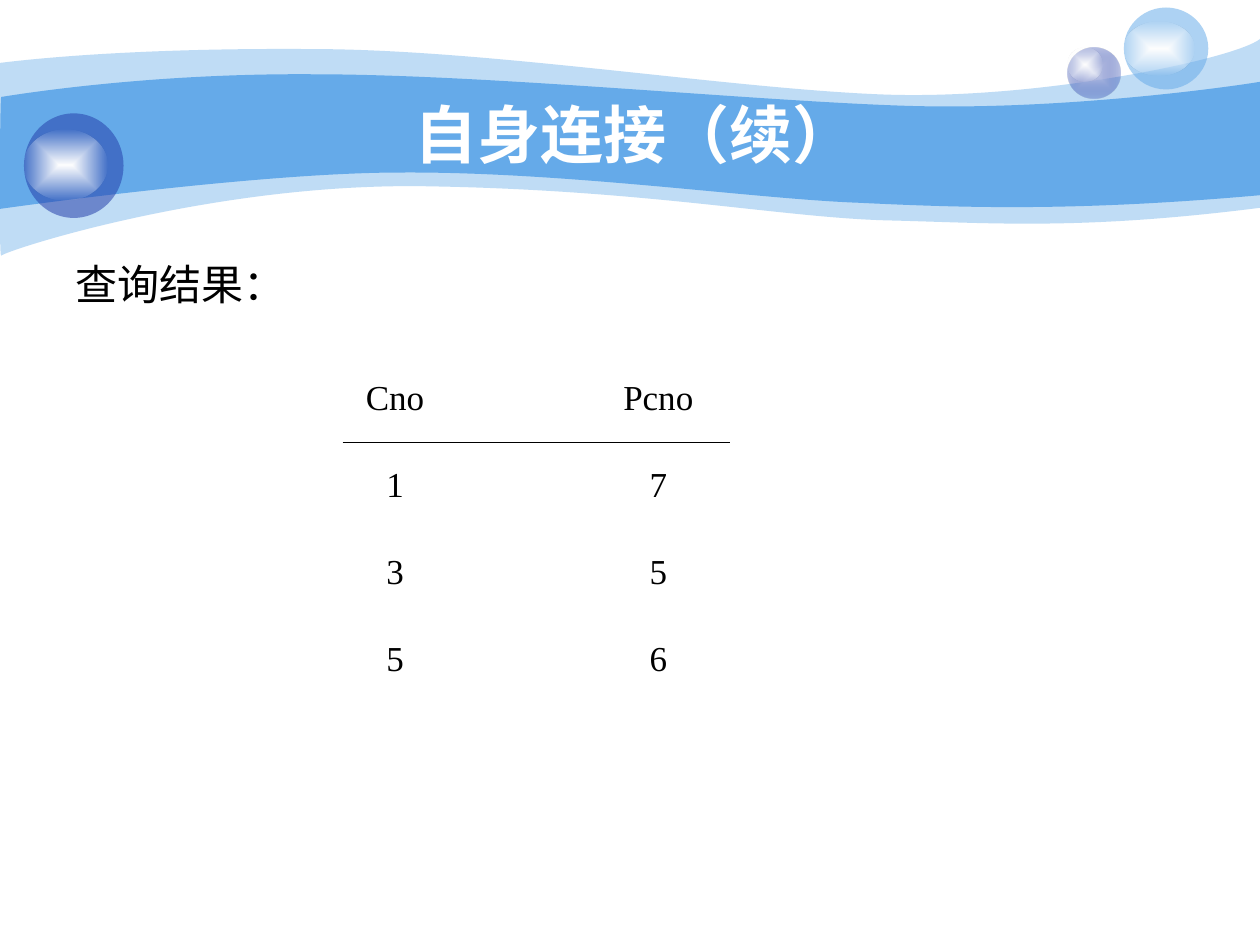
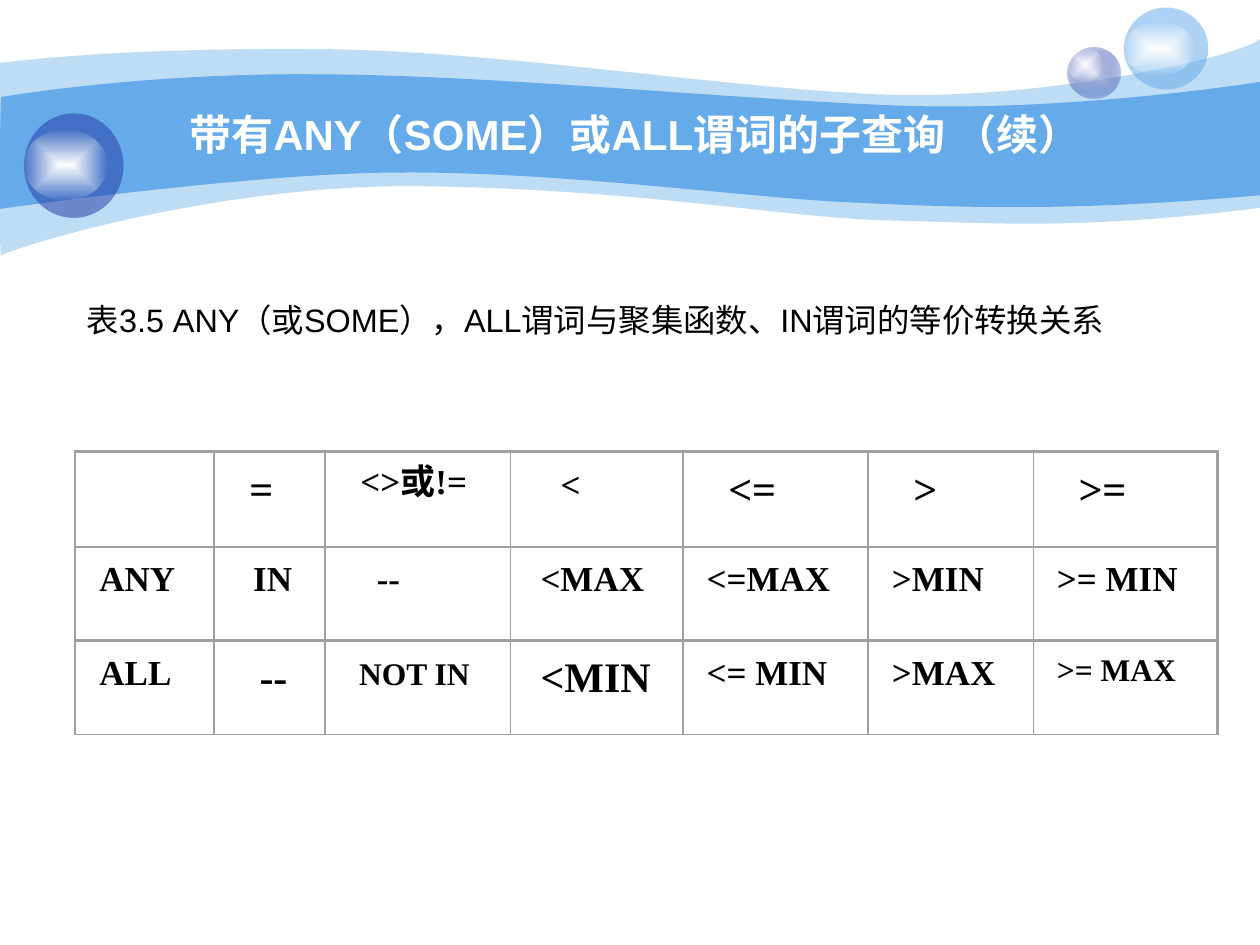
from itertools import accumulate, chain
from lxml.etree import SubElement
from pptx import Presentation
from pptx.dml.color import RGBColor
from pptx.enum.shapes import MSO_CONNECTOR, MSO_SHAPE
from pptx.enum.text import MSO_ANCHOR, PP_ALIGN
from pptx.oxml import parse_xml
from pptx.oxml.ns import nsdecls, qn
from pptx.util import Inches, Pt

WHITE = RGBColor(0xFF, 0xFF, 0xFF)
BLACK = RGBColor(0, 0, 0)
SKY = RGBColor(0x65, 0xAA, 0xE9)
NAVY = RGBColor(0x23, 0x3D, 0xA9)
LILAC = RGBColor(0xC7, 0xCE, 0xE9)
GREY = RGBColor(0xA0, 0xA0, 0xA0)

SANS = "Arial"
SERIF = "Times New Roman"

PALE_WAVE = (
    [(0, 0.5), (0.24, 0.47), (1.07, 0.38), (2.47, 0.39), (3.86, 0.39), (5.75, 0.7),
     (6.99, 0.75), (8.22, 0.8), (9.8, 0.47), (10, 0.31)],
    [(10, 1.65), (8.58, 1.83), (7.87, 1.77), (7.05, 1.75), (6.22, 1.73), (5.15, 1.51),
     (3.43, 1.48), (1.72, 1.44), (0.04, 1.99), (0.01, 2.03), (-0.01, 2.08), (0, 0.75),
     (0, 0.5)],
)
BRIGHT_WAVE = (
    [(0.01, 0.77), (0.02, 0.77), (1.1, 0.58), (2.48, 0.59), (3.86, 0.59), (5.95, 0.8),
     (7.18, 0.84), (8.41, 0.88), (9.76, 0.69), (10, 0.65)],
    [(10, 1.55), (8.53, 1.68), (7.65, 1.65), (6.82, 1.61), (5.99, 1.58), (4.47, 1.36),
     (3.17, 1.37), (2.03, 1.37), (-0.02, 1.66), (-0.01, 1.66), (0, 1.66), (0, 0.77),
     (0.01, 0.77)],
)

RESULT_ROWS = [("Cno", "Pcno"), ("1", "7"), ("3", "5"), ("5", "6")]

GRID_LEFT = 0.6
GRID_TOPS = [3.59, 4.34, 5.08]
GRID_WIDTHS = [1.1, 0.88, 1.47, 1.37, 1.47, 1.31, 1.46]
CELL_HEIGHT = 0.75
CELL_GAP = 0.09
BOX_HEIGHTS = {18: 0.4, 20: 0.44, 24: 0.5}
TOP_MARGINS = {"<>或!=": 0.06, "NOT IN": 0.11}
PREDICATE_ROWS = [
    [("", 20, 0.1), ("=", 24, 0.19), ("<>或!=", 20, 0.19), ("<", 20, 0.31),
     ("<=", 24, 0.27), (">", 24, 0.27), (">=", 24, 0.27)],
    [("ANY", 20, 0.1), ("IN", 20, 0.22), ("--", 20, 0.32), ("<MAX", 20, 0.15),
     ("<=MAX", 20, 0.1), (">MIN", 20, 0.1), (">= MIN", 20, 0.1)],
    [("ALL", 20, 0.1), ("--", 24, 0.27), ("NOT IN", 18, 0.18), ("<MIN", 24, 0.15),
     ("<= MIN", 20, 0.1), (">MAX", 20, 0.1), (">= MAX", 18, 0.1)],
]


class Deck:
    """Holds the shared style and the slide being drawn."""

    def __init__(self):
        """Start an empty 10 by 7.5 inch presentation."""
        self.presentation = Presentation()
        self.presentation.slide_width = Inches(10)
        self.presentation.slide_height = Inches(7.5)
        self.slide = None

    def add_slide(self, title, size):
        """Add a slide with the waves, the bubbles and a title."""
        self.slide = self.presentation.slides.add_slide(self.presentation.slide_layouts[6])
        self.wave(PALE_WAVE, 41)
        self.wave(BRIGHT_WAVE, 100)
        self.glow(self.ellipse(8.47, 0.38, 0.42, 0.4), (LILAC, 100), (NAVY, 31))
        self.highlight(8.47, 0.38, 0.28, 0.27)
        self.paint(self.ellipse(8.92, 0.06, 0.67, 0.65), SKY, 53)
        self.highlight(8.92, 0.17, 0.56, 0.43)
        self.paint(self.ellipse(0.19, 0.9, 0.79, 0.83), NAVY, 53)
        self.highlight(0.19, 1.03, 0.66, 0.56)
        frame = self.text(title, 1, 0.75, 8.08, 0.62)
        frame.vertical_anchor = MSO_ANCHOR.MIDDLE
        self.style(frame.paragraphs[0], SANS, size, WHITE, True, PP_ALIGN.CENTER)

    def paint(self, shape, color, opacity):
        """Fill a shape with one colour, without line or shadow."""
        shape.shadow.inherit = False
        shape.line.fill.background()
        shape.fill.solid()
        shape.fill.fore_color.rgb = color
        if opacity < 100:
            color_element = shape.element.spPr.find(qn("a:solidFill"))[0]
            SubElement(color_element, qn("a:alpha")).set("val", str(opacity * 1000))

    def glow(self, shape, center, edge):
        """Fill a shape with a gradient from its centre to its edge."""
        self.paint(shape, center[0], 100)
        stops = "".join(
            f'<a:gs pos="{position}"><a:srgbClr val="{color}">'
            f'<a:alpha val="{opacity * 1000}"/></a:srgbClr></a:gs>'
            for position, (color, opacity) in ((0, center), (100000, edge)))
        gradient = parse_xml(
            f'<a:gradFill {nsdecls("a")} rotWithShape="1"><a:gsLst>{stops}</a:gsLst>'
            '<a:path path="rect"><a:fillToRect l="50000" t="50000" r="50000" b="50000"/>'
            '</a:path></a:gradFill>')
        properties = shape.element.spPr
        properties.replace(properties.find(qn("a:solidFill")), gradient)

    def ellipse(self, left, top, width, height):
        """Add an ellipse."""
        return self.slide.shapes.add_shape(
            MSO_SHAPE.OVAL, Inches(left), Inches(top), Inches(width), Inches(height))

    def highlight(self, left, top, width, height):
        """Add a white shine that fades out."""
        self.glow(self.ellipse(left, top, width, height), (WHITE, 100), (WHITE, 0))

    def wave(self, edges, opacity):
        """Add a band whose upper and lower edges are chains of cubic curves."""
        upper, lower = edges
        points = [(Inches(x), Inches(y)) for x, y in upper + lower]
        builder = self.slide.shapes.build_freeform(*points[0])
        builder.add_line_segments(points[1:], close=True)
        shape = builder.convert_to_shape()
        lines = list(shape.element.spPr.iter(qn("a:lnTo")))
        starts = chain(range(0, len(upper) - 1, 3), range(len(upper), len(points) - 1, 3))
        for start in starts:
            curve = parse_xml(f'<a:cubicBezTo {nsdecls("a")}/>')
            lines[start].addprevious(curve)
            for line in lines[start:start + 3]:
                curve.append(line[0])
                line.getparent().remove(line)
        self.paint(shape, SKY, opacity)

    def style(self, paragraph, font_name, size, color=BLACK, bold=False, align=PP_ALIGN.LEFT):
        """Set the font and alignment of a paragraph."""
        paragraph.alignment = align
        paragraph.font.name = font_name
        paragraph.font.size = Pt(size)
        paragraph.font.bold = bold
        paragraph.font.color.rgb = color

    def text(self, words, left, top, width, height):
        """Add a wrapping text box and return its frame."""
        frame = self.slide.shapes.add_textbox(
            Inches(left), Inches(top), Inches(width), Inches(height)).text_frame
        frame.word_wrap = True
        frame.text = words
        return frame

    def body(self, words, left, top, width, height, size):
        """Add a line of body text."""
        frame = self.text(words, left, top, width, height)
        self.style(frame.paragraphs[0], SANS, size)

    def table(self, rows, left, top, column_width, row_height):
        """Add a table without fills and borders."""
        columns = len(rows[0])
        table = self.slide.shapes.add_table(
            len(rows), columns, Inches(left), Inches(top),
            Inches(column_width * columns), Inches(row_height * len(rows))).table
        table.first_row = table.horz_banding = False
        for row, values in zip(table.rows, rows):
            for cell, words in zip(row.cells, values):
                cell.fill.background()
                cell.text = words
                self.style(cell.text_frame.paragraphs[0], SERIF, 20, align=PP_ALIGN.CENTER)
                properties = cell._tc.get_or_add_tcPr()
                for position, side in enumerate("LRTB"):
                    properties.insert(position, parse_xml(
                        f'<a:ln{side} {nsdecls("a")}><a:noFill/></a:ln{side}>'))

    def outline(self, left, top, width, height, line_width):
        """Add an empty grey rectangle."""
        shape = self.slide.shapes.add_shape(
            MSO_SHAPE.RECTANGLE, Inches(left), Inches(top), Inches(width), Inches(height))
        shape.shadow.inherit = False
        shape.fill.background()
        shape.line.color.rgb = GREY
        shape.line.width = Pt(line_width)

    def grid_cell(self, words, size, margin, left, top, width):
        """Add one framed cell of the predicate grid."""
        if words:
            frame = self.text(words, left + CELL_GAP, top, width - 2 * CELL_GAP,
                              BOX_HEIGHTS[size])
            frame.margin_left = Inches(margin)
            frame.margin_right = 0
            frame.margin_top = Inches(TOP_MARGINS.get(words, 0.08))
            self.style(frame.paragraphs[0], SERIF, size, bold=True)
        self.outline(left, top, width, CELL_HEIGHT, 0)

    def rule(self, start_x, end_x, y):
        """Add a thin black horizontal line."""
        line = self.slide.shapes.add_connector(
            MSO_CONNECTOR.STRAIGHT, Inches(start_x), Inches(y), Inches(end_x), Inches(y))
        line.line.color.rgb = BLACK
        line.line.width = Pt(0.75)
        SubElement(line.element.spPr, qn("a:effectLst"))


def main():
    """Build both slides and save them."""
    deck = Deck()

    deck.add_slide("自身连接（续）", 36)
    deck.body("查询结果：", 0.5, 2, 4.42, 0.65, 24)
    deck.table(RESULT_ROWS, 2.09, 2.96, 2.09, 0.69)
    deck.rule(2.72, 5.79, 3.51)

    deck.add_slide("带有ANY（SOME）或ALL谓词的子查询 （续）", 24)
    deck.body("表3.5 ANY（或SOME），ALL谓词与聚集函数、IN谓词的等价转换关系",
              0.59, 2.33, 9, 0.61, 18.5)
    lefts = list(accumulate(GRID_WIDTHS[:-1], initial=GRID_LEFT))
    for top, row in zip(GRID_TOPS, PREDICATE_ROWS):
        for left, width, (words, size, margin) in zip(lefts, GRID_WIDTHS, row):
            deck.grid_cell(words, size, margin, left, top, width)
    deck.outline(0.59, 3.58, 9.08, 2.25, 0.88)

    deck.presentation.save("out.pptx")


if __name__ == "__main__":
    main()
